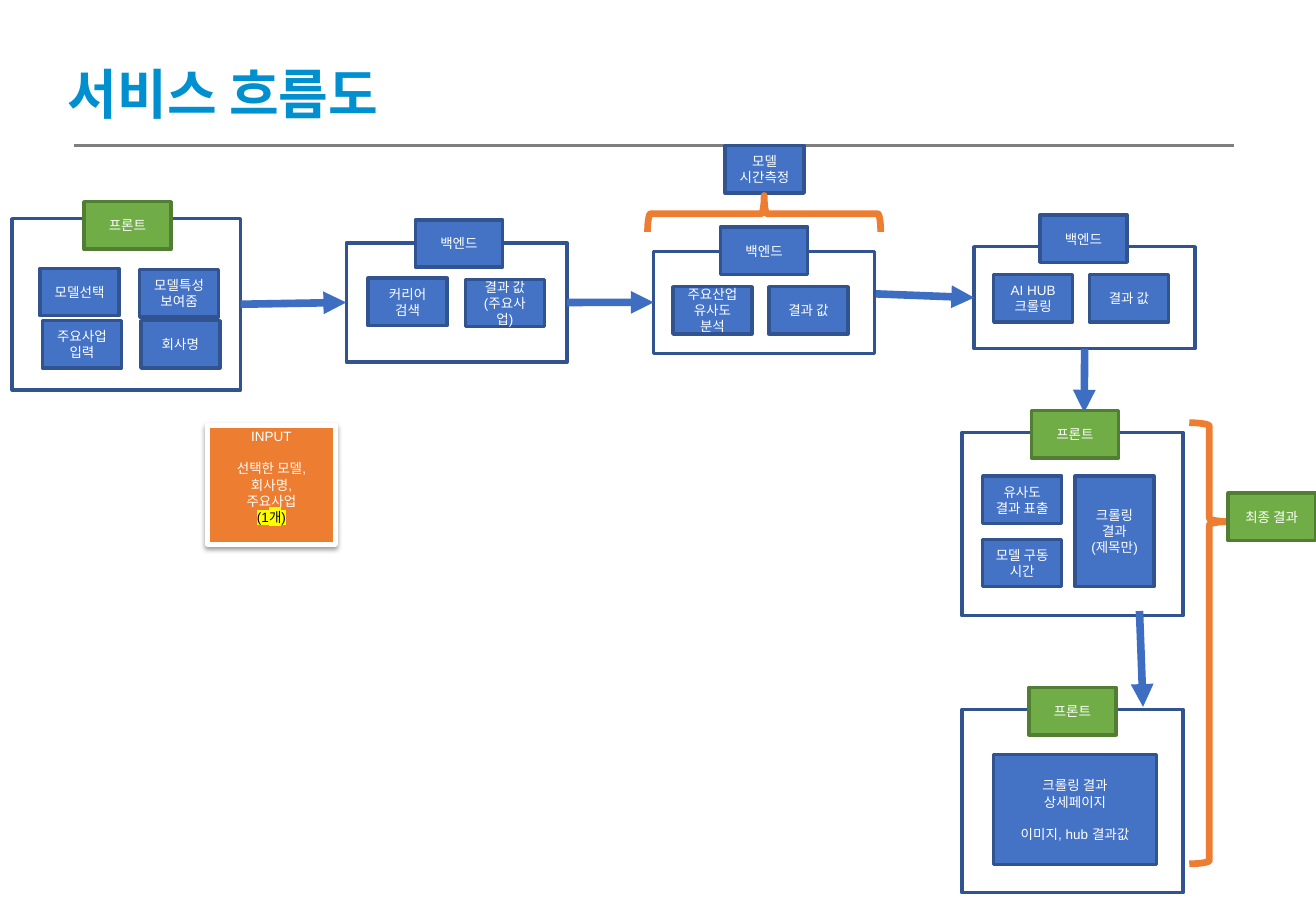
from dataclasses import dataclass
from typing import Any, Optional

from lxml.etree import SubElement as Sub
from pptx import Presentation
from pptx.dml.color import RGBColor
from pptx.enum.shapes import MSO_CONNECTOR as Link, MSO_SHAPE as Kind
from pptx.enum.text import MSO_ANCHOR as Anchor, PP_ALIGN as Align
from pptx.oxml.ns import qn
from pptx.util import Pt

BLUE, NAVY = "4472C4", "31538F"
GREEN, MOSS = "70AD47", "517E33"
ORANGE, WHITE = "ED7D31", "FFFFFF"
LINE = 9.4


@dataclass
class Box:
    x: float
    y: float
    text: str = ""
    w: float = 46.8
    h: float = 28.1
    fill: str = BLUE
    edge: str = NAVY
    thick: float = 2
    gap: Optional[int] = None


@dataclass
class Arrow:
    x1: float
    y1: float
    x2: float
    y2: float
    start: Optional[int] = None
    side: int = 3
    end: Optional[int] = None


@dataclass
class Brace:
    x: float
    y: float
    w: float
    h: float
    turn: int
    tip: float


def frame(x: float, y: float, h: float, w: float = 131) -> Box:
    return Box(x, y, w=w, h=h, fill=WHITE)


def front(x: float, y: float, text: str = "프론트") -> Box:
    return Box(x, y, text, w=51.8, fill=GREEN, edge=MOSS)


def back(x: float, y: float) -> Box:
    return Box(x, y, "백엔드", w=51.8)


FRAMES = [
    frame(7.2, 129.6, 101.5, 135.4),
    frame(205.2, 144, 70.6),
    frame(387.4, 149, 60.5),
    frame(577.4, 146.2, 60.5),
    frame(570.2, 256.3, 108.7),
    frame(570.2, 420.5, 108.7),
]
ARROWS = [
    Arrow(142.6, 180.3, 205.2, 179.3, start=0, end=1),
    Arrow(336.2, 179.3, 387.4, 179.2, start=1, end=2),
    Arrow(519.1, 174.2, 577.4, 176.4, end=3),
    Arrow(642.9, 206.7, 642.6, 244.6, start=3, side=2),
    Arrow(675.4, 362.2, 677.5, 419),
]
BOXES = [
    front(49.7, 119.5),
    Box(23.8, 159.1, "모델선택"),
    Box(82.8, 159.8, "모델특성 보여줌"),
    Box(25.2, 190.1, "주요사업 입력"),
    Box(83.5, 190.1, "회사명"),
    back(246.2, 130.3),
    Box(218.2, 164.9, "커리어 검색"),
    Box(275.8, 165.6, "결과 값\n(주요사업)"),
    Box(429.8, 86.4, "모델 시간측정"),
    back(427, 134.6),
    Box(398.9, 169.9, "주요산업 유사도 분석"),
    Box(455.8, 169.9, "결과 값"),
    back(616.3, 127.4),
    Box(589, 162.7, "AI HUB\n크롤링"),
    Box(645.8, 162.7, "결과 값"),
    front(611.3, 243.4),
    Box(582.5, 282.2, "유사도 결과 표출"),
    Box(582.5, 319.7, "모델 구동\n시간"),
    Box(637.2, 282.2, "크롤링 결과\n(제목만)", h=65.5),
    front(609.8, 407.5),
    Box(589, 447.1, "크롤링 결과\n상세페이지\n이미지, hub 결과값",
        w=96.5, h=65.5, gap=2),
]
BRACES = [
    Brace(442.1, 57.6, 21.6, 138.2, 90, 0.5),
    Brace(704.9, 250.6, 23.8, 261.4, 180, 0.776),
]
INPUT = Box(123.1, 252, "INPUT\n선택한 모델,\n회사명,\n주요사업\n(1개)",
            w=75.6, h=70.6, fill=ORANGE, edge=WHITE, thick=3, gap=1)
FINAL = front(727.9, 292.3, "최종 결과")


def paint(part: Any, tone: str) -> None:
    if hasattr(part, "solid"):
        part.solid()
        part = part.fore_color
    part.rgb = RGBColor.from_string(tone)


def write(shape: Any, text: str, *, size: float = 8, tone: str = WHITE,
          face: str = "Arial", bold: bool = False, align: Any = Align.CENTER,
          gap: Optional[int] = None) -> None:
    body = shape.text_frame
    body.word_wrap = True
    for i, line in enumerate(text.split("\n")):
        para = body.add_paragraph() if i else body.paragraphs[0]
        para.alignment = align
        if i and i == gap:
            para.space_before = Pt(LINE)
        run = para.add_run()
        run.text = line
        font = run.font
        font.size, font.bold, font.name = Pt(size), bold, face
        paint(font.color, tone)


def stroke(item: Any, tone: str, thick: float) -> None:
    paint(item.line.fill, tone)
    item.line.width = Pt(thick)


def draw(box: Box) -> Any:
    shape = slide.shapes.add_shape(
        Kind.RECTANGLE, Pt(box.x), Pt(box.y), Pt(box.w), Pt(box.h))
    shape.shadow.inherit = False
    paint(shape.fill, box.fill)
    stroke(shape, box.edge, box.thick)
    if box.text:
        shape.text_frame.vertical_anchor = Anchor.MIDDLE
        write(shape, box.text, gap=box.gap)
    return shape


def wire(x1: float, y1: float, x2: float, y2: float,
         tone: str, thick: float) -> Any:
    line = slide.shapes.add_connector(
        Link.STRAIGHT, Pt(x1), Pt(y1), Pt(x2), Pt(y2))
    stroke(line, tone, thick)
    Sub(line._element.spPr, qn("a:effectLst"))
    return line


def point(arrow: Arrow, frames: list) -> None:
    line = wire(arrow.x1, arrow.y1, arrow.x2, arrow.y2, "3E6EC2", 4.5)
    if arrow.start is not None:
        line.begin_connect(frames[arrow.start], arrow.side)
    if arrow.end is not None:
        line.end_connect(frames[arrow.end], 1)
    Sub(line.line._get_or_add_ln(), qn("a:tailEnd"), type="triangle")


def brace(mark: Brace) -> None:
    shape = slide.shapes.add_shape(
        Kind.LEFT_BRACE, Pt(mark.x), Pt(mark.y), Pt(mark.w), Pt(mark.h))
    shape.shadow.inherit = False
    shape.adjustments[0], shape.adjustments[1] = 0.083, mark.tip
    shape.rotation = mark.turn
    shape.fill.background()
    stroke(shape, ORANGE, 4)


def shade(shape: Any) -> None:
    glow = Sub(shape._element.spPr.find(qn("a:effectLst")),
               qn("a:outerShdw"), blurRad=str(Pt(3.1)),
               dist=str(Pt(1.6)), dir="5400000")
    tone = Sub(glow, qn("a:srgbClr"), val="000000")
    Sub(tone, qn("a:alpha"), val="38000")


def mark(run: Any, tone: str) -> None:
    paint(run.font.color, "000000")
    props = run.font._element
    light = Sub(props, qn("a:highlight"))
    Sub(light, qn("a:srgbClr"), val=tone)
    props.find(qn("a:solidFill")).addnext(light)


deck = Presentation()
deck.slide_width, deck.slide_height = Pt(780), Pt(540)
slide = deck.slides.add_slide(deck.slide_layouts[6])

title = slide.shapes.add_textbox(Pt(33.1), Pt(32.4), Pt(216), Pt(46.1))
write(title, "서비스 흐름도", size=32, tone="0090D0", face="Calibri",
      bold=True, align=Align.LEFT)
wire(43.9, 86.4, 731.5, 86.4, "7F7F7F", 1.5)

frames = [draw(box) for box in FRAMES]
for arrow in ARROWS:
    point(arrow, frames)
for box in BOXES:
    draw(box)
for item in BRACES:
    brace(item)
draw(FINAL)

note = draw(INPUT)
shade(note)
note.text_frame.margin_bottom = Pt(3.6 + LINE)
mark(note.text_frame.paragraphs[-1].runs[0], "FFFF00")

deck.save("out.pptx")
